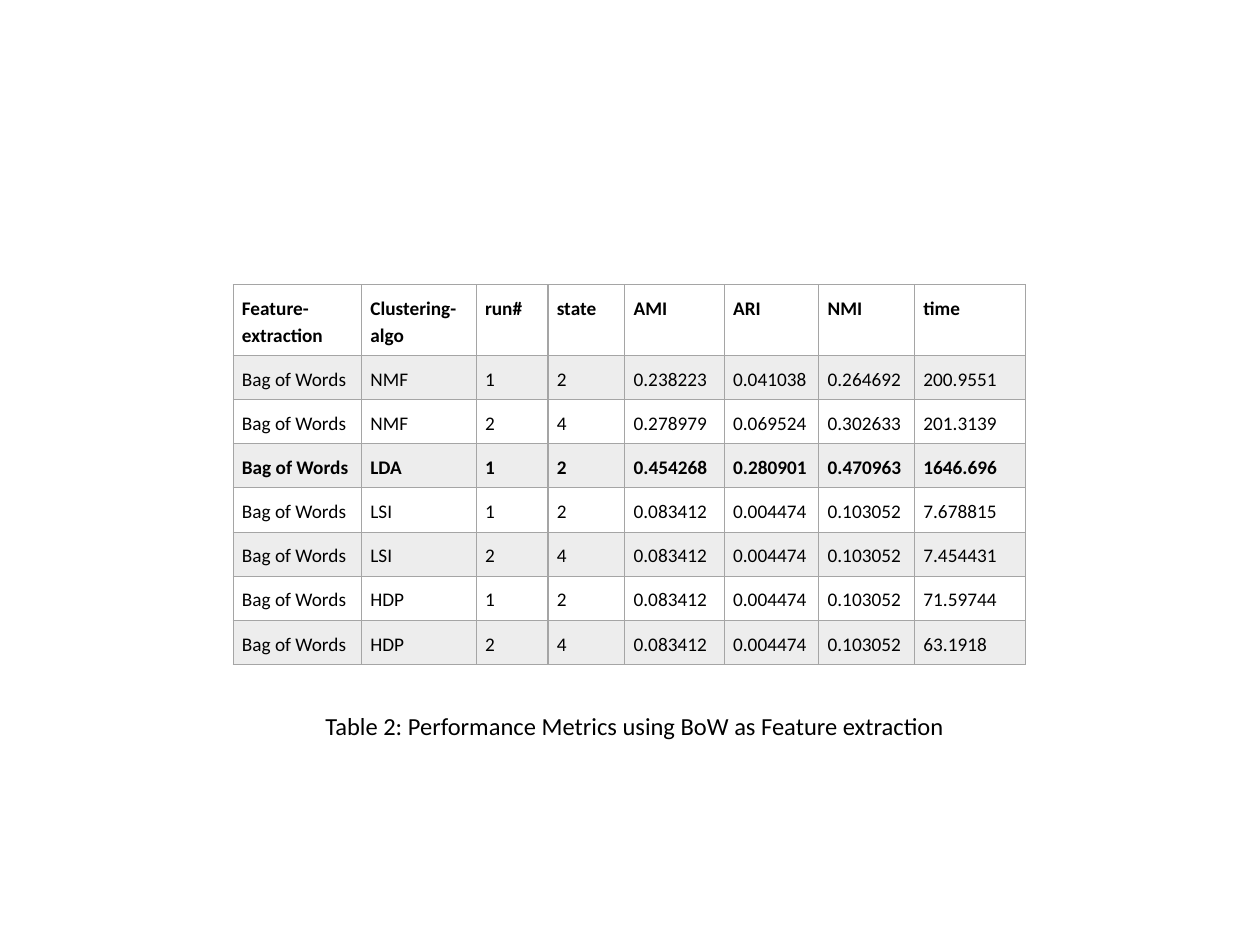
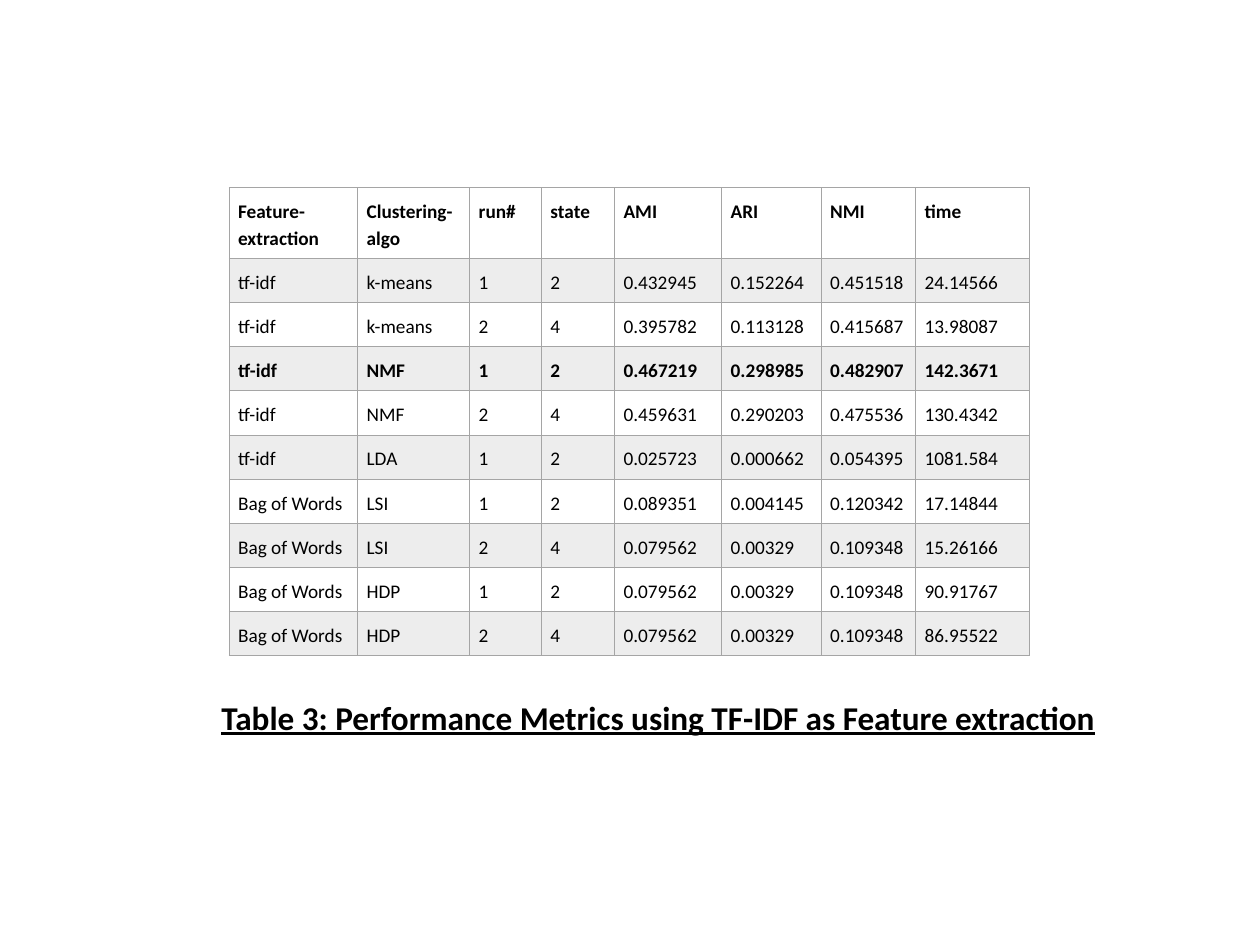
from lxml.etree import SubElement
from pptx import Presentation
from pptx.dml.color import RGBColor
from pptx.enum.text import MSO_AUTO_SIZE, PP_ALIGN
from pptx.oxml.ns import qn
from pptx.util import Inches, Pt

FONT = "Calibri"
BLACK = RGBColor(0x00, 0x00, 0x00)
BAND = RGBColor(0xED, 0xED, 0xED)
BORDER = RGBColor(0xA5, 0xA5, 0xA5)
BORDER_WIDTH = Pt(0.68)
HEADER_HEIGHT, ROW_HEIGHT = 0.56, 0.35
CELL_INSET, CAPTION_INSET = Inches(0.07), Inches(0.1)

HEADER = ("Feature-\nextraction", "Clustering-\nalgo", "run#", "state",
          "AMI", "ARI", "NMI", "time")

SLIDES = [
    {
        "table_at": (1.85, 2.26),
        "cols": (1.02, 0.91, 0.57, 0.61, 0.79, 0.75, 0.76, 0.88),
        "best": 3,
        "rows": [
            ("Bag of Words", "NMF", "1", "2", "0.238223", "0.041038", "0.264692", "200.9551"),
            ("Bag of Words", "NMF", "2", "4", "0.278979", "0.069524", "0.302633", "201.3139"),
            ("Bag of Words", "LDA", "1", "2", "0.454268", "0.280901", "0.470963", "1646.696"),
            ("Bag of Words", "LSI", "1", "2", "0.083412", "0.004474", "0.103052", "7.678815"),
            ("Bag of Words", "LSI", "2", "4", "0.083412", "0.004474", "0.103052", "7.454431"),
            ("Bag of Words", "HDP", "1", "2", "0.083412", "0.004474", "0.103052", "71.59744"),
            ("Bag of Words", "HDP", "2", "4", "0.083412", "0.004474", "0.103052", "63.1918"),
        ],
        "caption": "Table 2: Performance Metrics using BoW as Feature extraction ",
        "caption_at": (2.4, 5.54, 5.32, 0.44),
        "align": PP_ALIGN.CENTER,
        "size": 14,
        "strong": False,
    },
    {
        "table_at": (1.82, 1.49),
        "cols": (1.02, 0.89, 0.57, 0.58, 0.85, 0.79, 0.75, 0.9),
        "best": 3,
        "rows": [
            ("tf-idf", "k-means", "1", "2", "0.432945", "0.152264", "0.451518", "24.14566"),
            ("tf-idf", "k-means", "2", "4", "0.395782", "0.113128", "0.415687", "13.98087"),
            ("tf-idf", "NMF", "1", "2", "0.467219", "0.298985", "0.482907", "142.3671"),
            ("tf-idf", "NMF", "2", "4", "0.459631", "0.290203", "0.475536", "130.4342"),
            ("tf-idf", "LDA", "1", "2", "0.025723", "0.000662", "0.054395", "1081.584"),
            ("Bag of Words", "LSI", "1", "2", "0.089351", "0.004145", "0.120342", "17.14844"),
            ("Bag of Words", "LSI", "2", "4", "0.079562", "0.00329", "0.109348", "15.26166"),
            ("Bag of Words", "HDP", "1", "2", "0.079562", "0.00329", "0.109348", "90.91767"),
            ("Bag of Words", "HDP", "2", "4", "0.079562", "0.00329", "0.109348", "86.95522"),
        ],
        "caption": "Table 3: Performance Metrics using TF-IDF as Feature extraction",
        "caption_at": (1.66, 5.43, 7.36, 0.52),
        "align": PP_ALIGN.LEFT,
        "size": 19,
        "strong": True,
    },
]


def add_run(p, text, size, bold):
    r = p.add_run()
    r.text = text
    r.font.name = FONT
    r.font.size = Pt(size)
    r.font.bold = bold
    r.font.color.rgb = BLACK
    return r


def set_insets(frame, inset):
    frame.margin_left = frame.margin_right = inset
    frame.margin_top = frame.margin_bottom = inset


def add_borders(cell):
    tc_pr = cell._tc.get_or_add_tcPr()
    for side in ("lnL", "lnR", "lnT", "lnB"):
        ln = SubElement(tc_pr, qn(f"a:{side}"), w=str(int(BORDER_WIDTH)))
        fill = SubElement(ln, qn("a:solidFill"))
        SubElement(fill, qn("a:srgbClr"), val=str(BORDER))


def fill_cell(cell, text, bold, banded):
    set_insets(cell, CELL_INSET)
    add_borders(cell)
    if banded:
        cell.fill.solid()
        cell.fill.fore_color.rgb = BAND
    else:
        cell.fill.background()
    tf = cell.text_frame
    for i, line in enumerate(text.split("\n")):
        p = tf.add_paragraph() if i else tf.paragraphs[0]
        p.line_spacing = 1.15
        add_run(p, line, 11, bold)


def add_metrics_table(s, data):
    rows = [HEADER] + data["rows"]
    heights = [HEADER_HEIGHT] + [ROW_HEIGHT] * len(data["rows"])
    size = (sum(data["cols"]), sum(heights))
    table = s.shapes.add_table(len(rows), len(HEADER),
                               *map(Inches, data["table_at"] + size)).table
    table.first_row = table.horz_banding = False
    for col, width in zip(table.columns, data["cols"]):
        col.width = Inches(width)
    for i, (row, height, values) in enumerate(zip(table.rows, heights, rows)):
        row.height = Inches(height)
        for cell, value in zip(row.cells, values):
            fill_cell(cell, value, i in (0, data["best"]), i % 2 == 1)


def add_caption(s, data):
    tf = s.shapes.add_textbox(*map(Inches, data["caption_at"])).text_frame
    tf.word_wrap = True
    tf.auto_size = MSO_AUTO_SIZE.SHAPE_TO_FIT_TEXT
    set_insets(tf, CAPTION_INSET)
    p = tf.paragraphs[0]
    p.alignment = data["align"]
    r = add_run(p, data["caption"], data["size"], data["strong"])
    r.font.underline = data["strong"]


def main():
    prs = Presentation()
    prs.slide_width, prs.slide_height = Inches(10), Inches(7.5)
    for data in SLIDES:
        s = prs.slides.add_slide(prs.slide_layouts[6])
        add_caption(s, data)
        add_metrics_table(s, data)
    prs.save("out.pptx")


if __name__ == "__main__":
    main()
